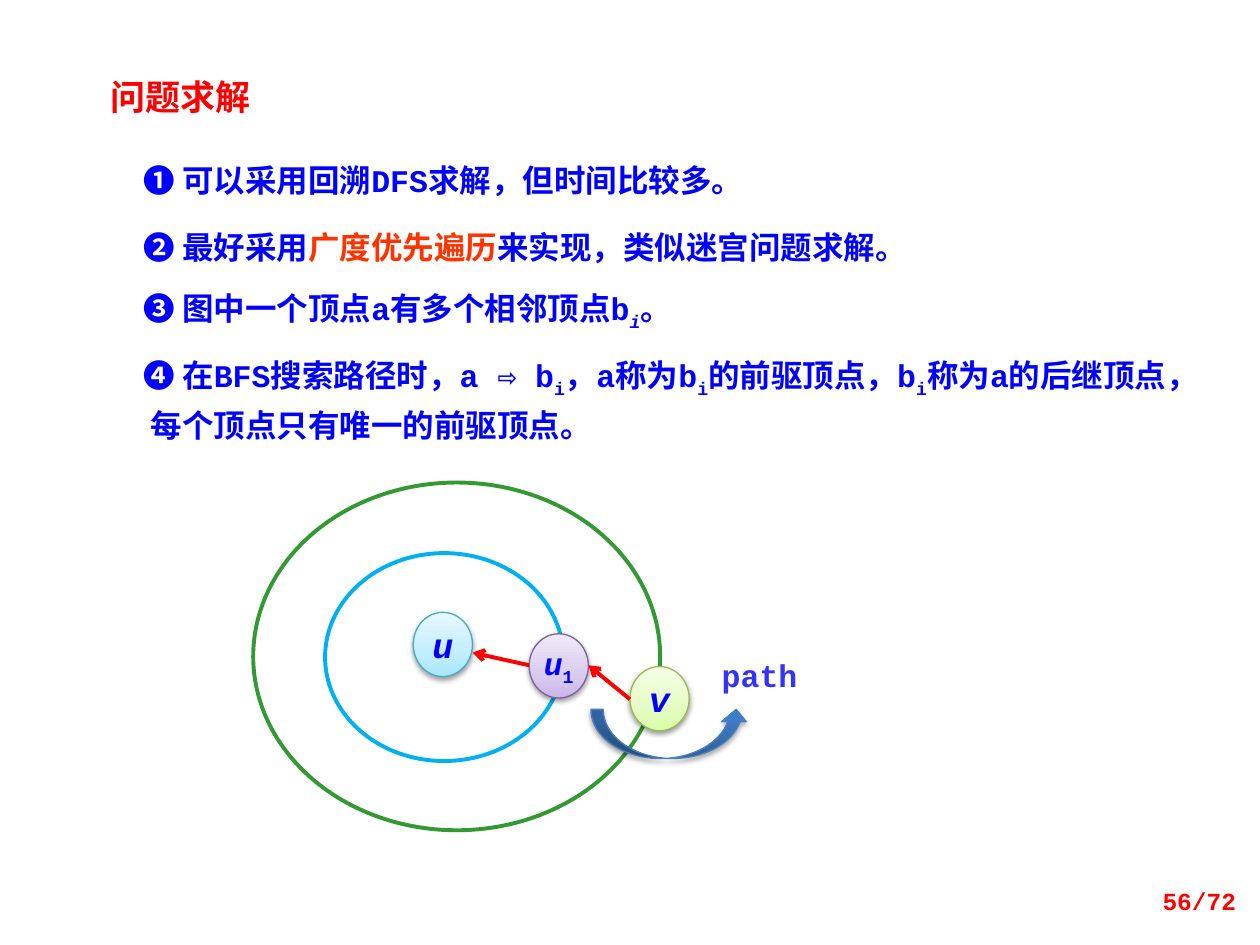
from lxml import etree
from pptx import Presentation
from pptx.dml.color import RGBColor
from pptx.enum.shapes import MSO_CONNECTOR, MSO_SHAPE
from pptx.enum.text import MSO_ANCHOR, PP_ALIGN
from pptx.oxml.ns import qn
from pptx.util import Inches, Pt

MONO, CJK = "Courier New", "Noto Sans CJK SC"
WHITE = RGBColor(0xFF, 0xFF, 0xFF)
BLUE = RGBColor(0x00, 0x00, 0xFF)
RED = RGBColor(0xFF, 0x00, 0x00)
ORANGE = RGBColor(0xFF, 0x33, 0x00)
PATH_BLUE = RGBColor(0x33, 0x33, 0xFF)
SKY = RGBColor(0x00, 0xB0, 0xF0)
GREEN = RGBColor(0x33, 0x99, 0x33)
U_LINE = RGBColor(0x46, 0xAA, 0xC5)
V_LINE = RGBColor(0x98, 0xB9, 0x55)
U1_LINE = RGBColor(0x7D, 0x60, 0xA0)
ARROW_LINE = RGBColor(0x4B, 0x7E, 0xBC)
U_STOPS = [(0, "A7E6FF"), (35, "C1EDFF"), (100, "E7F8FF")]
V_STOPS = [(0, "DAFDA7"), (35, "E4FCC2"), (100, "F5FFE7")]
U1_STOPS = [(0, "C9B5E8"), (35, "D8CBEE"), (100, "F0EAF9")]
ARROW_STOPS = [(0, "2F5F99"), (80, "3D7CC7"), (100, "3A7CCB")]


def add_run(p, text, size=18, color=BLUE, font=MONO, italic=False, sub=False):
    r = p.add_run()
    r.text = text
    r.font.name, r.font.size = font, Pt(size)
    r.font.bold, r.font.italic = True, italic
    r.font.color.rgb = color
    rPr = r._r.get_or_add_rPr()
    etree.SubElement(rPr, qn("a:ea"), typeface=CJK)
    if sub:
        rPr.set("baseline", "-25000")


def add_glossy(kind, box, stops, line, alpha):
    """Add a shape with an upward gradient and a soft shadow below it."""
    sp = s.shapes.add_shape(kind, *map(Inches, box))
    sp.fill.gradient()
    sp.fill.gradient_angle = 90
    gs_list = sp._element.spPr.find(".//" + qn("a:gsLst"))
    gs_list[:] = []
    for pos, color in stops:
        gs = etree.SubElement(gs_list, qn("a:gs"), pos=str(pos * 1000))
        etree.SubElement(gs, qn("a:srgbClr"), val=color)
    sp.line.color.rgb, sp.line.width = line, Pt(0.75)
    sp.shadow.inherit = False
    shadow = etree.SubElement(
        sp._element.spPr.find(qn("a:effectLst")), qn("a:outerShdw"),
        blurRad=str(Pt(3.1)), dist=str(Pt(1.7)), dir="5400000", rotWithShape="0")
    black = etree.SubElement(shadow, qn("a:srgbClr"), val="000000")
    etree.SubElement(black, qn("a:alpha"), val=str(alpha * 1000))
    return sp


prs = Presentation()
prs.slide_width, prs.slide_height = Inches(10), Inches(7.5)
s = prs.slides.add_slide(prs.slide_layouts[6])

# Search layers around u
for box, color, width in [((2.58, 4.39, 1.89, 1.65), SKY, 2.25),
                          ((2.01, 3.83, 3.23, 2.76), GREEN, 2.25)]:
    ring = s.shapes.add_shape(MSO_SHAPE.OVAL, *map(Inches, box))
    ring.fill.background()
    ring.line.color.rgb, ring.line.width = color, Pt(width)
    ring.shadow.inherit = False

# Vertices
for left, top, name, index, size, stops, line in [
        (3.28, 4.86, "u", "", 20, U_STOPS, U_LINE),
        (5, 5.29, "v", "", 20, V_STOPS, V_LINE),
        (4.2, 5.03, "u", "1", 18, U1_STOPS, U1_LINE)]:
    node = add_glossy(MSO_SHAPE.OVAL, (left, top, 0.47, 0.51), stops, line, 38)
    tf = node.text_frame
    tf.word_wrap = False
    tf.vertical_anchor = MSO_ANCHOR.MIDDLE
    p = tf.paragraphs[0]
    p.alignment = PP_ALIGN.CENTER
    add_run(p, name, size, italic=True)
    if index:
        add_run(p, index, size, sub=True)

# Predecessor links
for ends in [(5, 5.55, 4.67, 5.28), (4.2, 5.28, 3.75, 5.18)]:
    link = s.shapes.add_connector(MSO_CONNECTOR.STRAIGHT, *map(Inches, ends))
    link.line.color.rgb, link.line.width = RED, Pt(2.25)
    etree.SubElement(link.line._get_or_add_ln(), qn("a:tailEnd"), type="arrow")
    etree.SubElement(link._element.spPr, qn("a:effectLst"))

add_glossy(MSO_SHAPE.CURVED_UP_ARROW, (4.69, 5.63, 1.25, 0.39),
           ARROW_STOPS, ARROW_LINE, 35)

# Numbered points
body = s.shapes.add_textbox(Inches(0.94), Inches(1.1), Inches(8.59), Inches(2.57))
body.fill.solid()
body.fill.fore_color.rgb = WHITE
tf = body.text_frame
tf.word_wrap = True
tf.margin_left, tf.margin_right = Inches(0.2), Inches(0.1)
tf.margin_top = tf.margin_bottom = Inches(0.12)
SUB = {"sub": True}
points = [
    [("❶ 可以采用回溯DFS求解，但时间比较多。", {})],
    [("❷ ", {}), ("最好采用", {"font": CJK}),
     ("广度优先遍历", {"font": CJK, "color": ORANGE}),
     ("来实现", {"font": CJK}), ("，类似迷宫问题求解。", {})],
    [("❸ 图中一个顶点a有多个相邻顶点b", {}),
     ("i", {"sub": True, "italic": True}), ("。", {})],
    [("❹ 在BFS搜索路径时，a ⇨ b", {}), ("i", SUB), ("，a称为b", {}), ("i", SUB),
     ("的前驱顶点，b", {}), ("i", SUB),
     ("称为a的后继顶点， 每个顶点只有唯一的前驱顶点。", {})],
]
for n, runs in enumerate(points):
    p = tf.add_paragraph() if n else tf.paragraphs[0]
    p.line_spacing = Pt(26)
    p.space_before = Pt(12 if n else 0)
    for text, style in runs:
        add_run(p, text, **style)

# Heading, arrow label and page number
for box, text, size, color, font, align, anchor in [
        ((0.78, 0.55, 1.56, 0.44), "问题求解", 20, RED, CJK,
         PP_ALIGN.LEFT, MSO_ANCHOR.TOP),
        ((5.63, 5.16, 0.86, 0.4), "path", 18, PATH_BLUE, MONO,
         PP_ALIGN.LEFT, MSO_ANCHOR.TOP),
        ((7.58, 6.95, 2.33, 0.4), "56/72", 14, RED, MONO,
         PP_ALIGN.RIGHT, MSO_ANCHOR.MIDDLE)]:
    tf = s.shapes.add_textbox(*map(Inches, box)).text_frame
    tf.word_wrap = True
    tf.vertical_anchor = anchor
    p = tf.paragraphs[0]
    p.alignment = align
    add_run(p, text, size, color, font)

prs.save("out.pptx")
